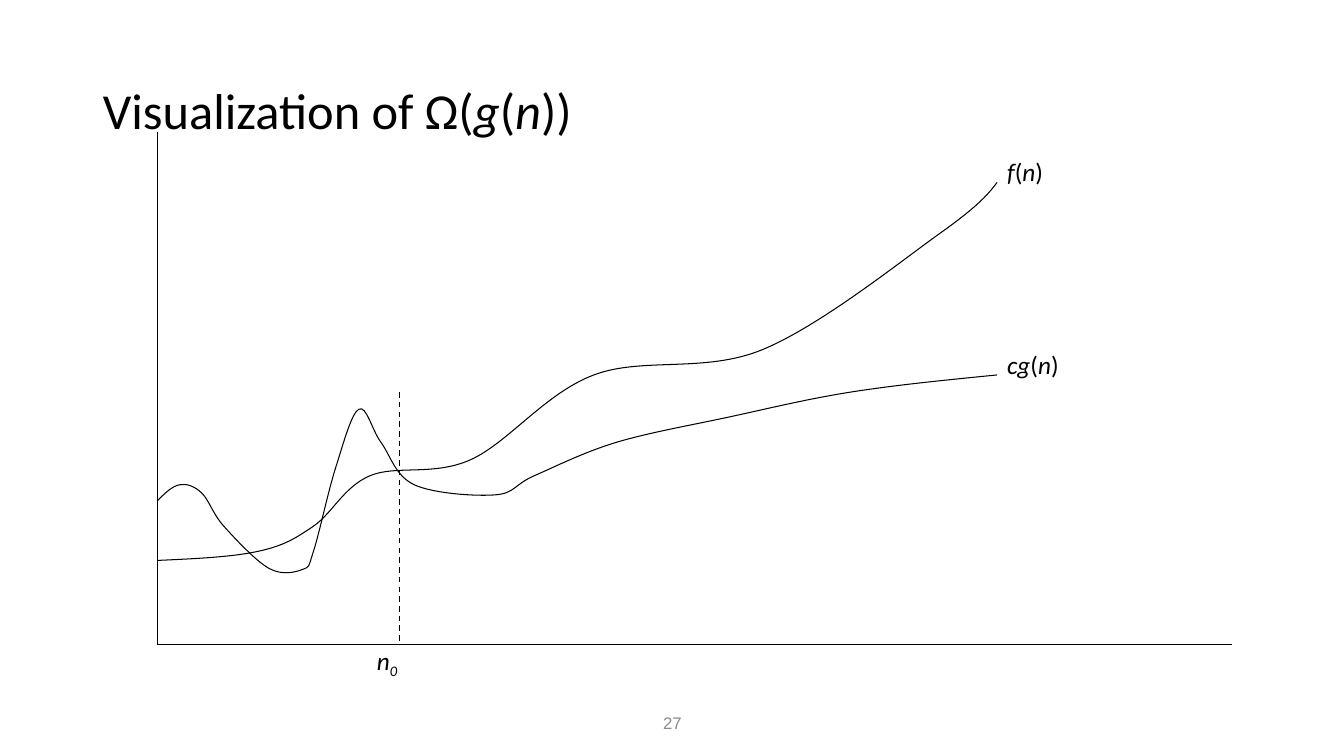
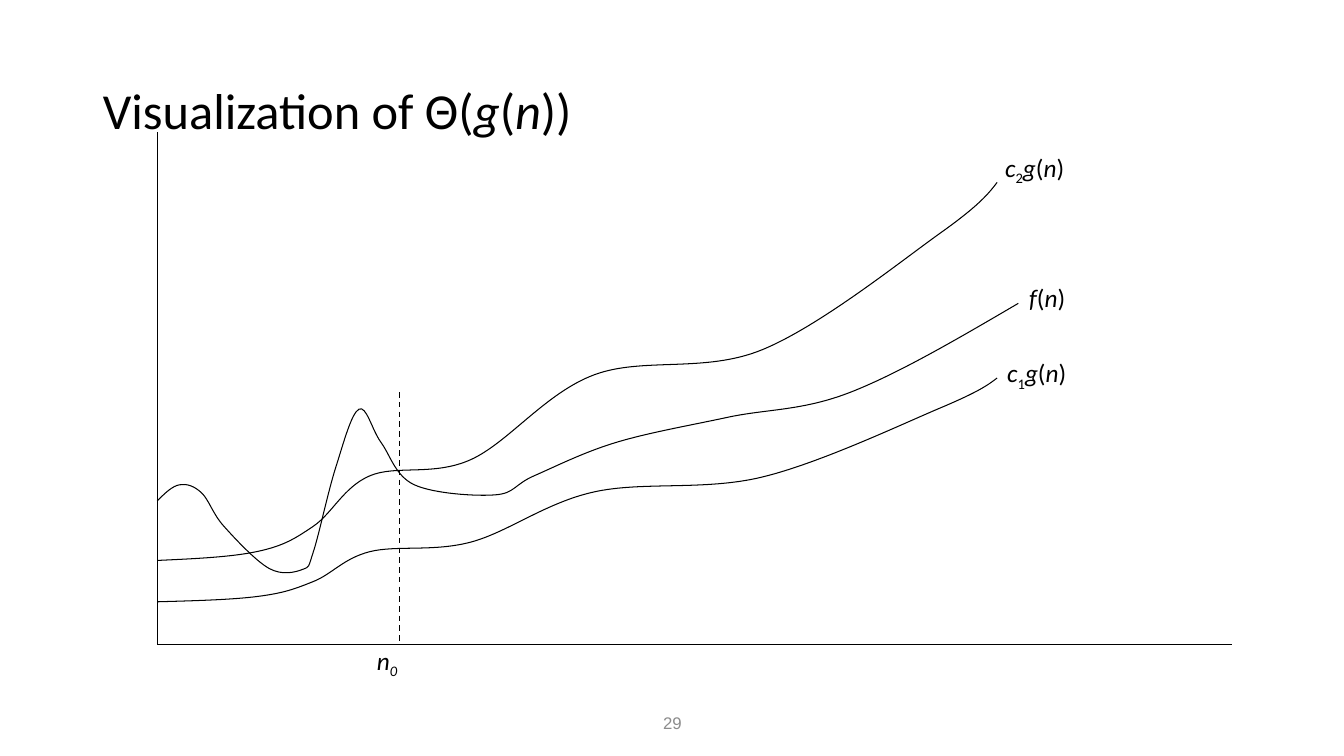
from lxml.etree import SubElement
from pptx import Presentation
from pptx.dml.color import RGBColor
from pptx.enum.dml import MSO_LINE
from pptx.enum.shapes import MSO_CONNECTOR
from pptx.enum.text import MSO_ANCHOR, MSO_AUTO_SIZE, PP_ALIGN
from pptx.oxml.ns import qn
from pptx.util import Pt

PX = 9144  # EMU per px, 100 px to the inch
BLACK = RGBColor(0x00, 0x00, 0x00)
GRAY = RGBColor(0x8C, 0x8C, 0x8C)

PLAIN, ITALIC, SUB, ITALIC_SUB = "plain", "italic", "sub", "italic sub"
OF_N = [("(", PLAIN), ("n", ITALIC), (")", PLAIN)]
F_OF_N = [("f", ITALIC)] + OF_N
CG_OF_N = [("cg", ITALIC)] + OF_N
C1G_OF_N = [("c", ITALIC), ("1", SUB), ("g", ITALIC)] + OF_N
C2G_OF_N = [("c", ITALIC), ("2", SUB), ("g", ITALIC)] + OF_N
N_ZERO = [("n", ITALIC), ("0", ITALIC_SUB)]

ORIGIN_X, AXIS_TOP, AXIS_Y, AXIS_RIGHT = 156, 131, 639, 1222
THRESHOLD_X, THRESHOLD_TOP = 396, 389

RISING = [(156, 556), (256, 547), (311, 522), (367, 472), (467, 456),
          (589, 372), (756, 347), (933, 231), (989, 181)]
LOWER = [(x, 597 - 0.592 * (556 - y)) for x, y in RISING]
WAVY = [(156, 497), (178, 481), (200, 489), (222, 522), (267, 564),
        (300, 565), (311, 547), (333, 464), (356, 406), (378, 439),
        (411, 481), (491, 491), (530, 472), (611, 439), (722, 414),
        (844, 389)]


def midpoint(first, second):
    return tuple((a + b) / 2 for a, b in zip(first, second))


def spline(points):
    """Return (control, control, end) for each cubic of a Catmull-Rom curve."""
    last = len(points) - 1

    def handle(index, sign):
        before, here, after = points[index - 1:index + 2]
        return tuple(h + sign * (a - b) / 6
                     for b, h, a in zip(before, here, after))

    segments = []
    for index in range(last):
        start, end = points[index], points[index + 1]
        leaving = handle(index, 1) if index > 0 else None
        arriving = handle(index + 1, -1) if index + 1 < last else None
        leaving = leaving or midpoint(start, arriving)
        arriving = arriving or midpoint(leaving, end)
        segments.append((leaving, arriving, end))
    return segments


class Plotter:
    """Holds the deck, its style and the slide being drawn."""

    def __init__(self):
        self.deck = Presentation()
        self.deck.slide_width = 1333 * PX
        self.deck.slide_height = 750 * PX
        self.page = None

    def start(self, title, number):
        self.page = self.deck.slides.add_slide(self.deck.slide_layouts[5])
        self.title(title)
        self.page_number(number)

    def add_spans(self, para, runs, size, font="Calibri", color=BLACK):
        for text, style in runs:
            span = para.add_run()
            span.text = text
            span.font.name = font
            span.font.size = Pt(size)
            span.font.color.rgb = color
            span.font.italic = ITALIC in style
            if SUB in style:
                span.font._element.set("baseline", "-25000")

    def title(self, runs):
        box = self.page.shapes.title
        box.left, box.top = 92 * PX, 40 * PX
        box.width, box.height = 1150 * PX, 145 * PX
        frame = box.text_frame
        frame.vertical_anchor = MSO_ANCHOR.MIDDLE
        frame.auto_size = MSO_AUTO_SIZE.NONE
        para = frame.paragraphs[0]
        para.alignment = PP_ALIGN.LEFT
        para.line_spacing = 0.9
        self.add_spans(para, runs, 36)

    def textbox(self, left, top, width, height):
        box = self.page.shapes.add_textbox(
            left * PX, top * PX, width * PX, height * PX)
        return box.text_frame

    def page_number(self, number):
        frame = self.textbox(456, 700, 422, 35)
        frame.word_wrap = True
        frame.vertical_anchor = MSO_ANCHOR.MIDDLE
        para = frame.paragraphs[0]
        para.alignment = PP_ALIGN.CENTER
        self.add_spans(para, [(str(number), PLAIN)], 12, "Arial", GRAY)

    def label(self, left, top, width, runs):
        frame = self.textbox(left, top, width, 40)
        frame.word_wrap = False
        frame.auto_size = MSO_AUTO_SIZE.SHAPE_TO_FIT_TEXT
        self.add_spans(frame.paragraphs[0], runs, 18)

    def line(self, x1, y1, x2, y2, weight=0.75, dash=None):
        line = self.page.shapes.add_connector(
            MSO_CONNECTOR.STRAIGHT, x1 * PX, y1 * PX, x2 * PX, y2 * PX)
        line.line.color.rgb = BLACK
        line.line.width = Pt(weight)
        if dash:
            line.line.dash_style = dash
        SubElement(line._element.spPr, qn("a:effectLst"))

    def curve(self, points):
        """Draw an open smooth outline through the points."""
        points = [(round(x * PX), round(y * PX)) for x, y in points]
        builder = self.page.shapes.build_freeform(*points[0])
        builder.add_line_segments(points[1:], close=False)
        shape = builder.convert_to_shape()
        shape.shadow.inherit = False
        shape.fill.background()
        shape.line.color.rgb = BLACK
        shape.line.width = Pt(0.75)
        straights = list(shape._element.iter(qn("a:lnTo")))
        for straight, segment in zip(straights, spline(points)):
            straight.tag = qn("a:cubicBezTo")
            straight.remove(straight[0])
            for x, y in segment:
                SubElement(straight, qn("a:pt"),
                           x=str(round(x - shape.left)),
                           y=str(round(y - shape.top)))

    def growth_plot(self, symbol, number, curves, labels):
        """Draw one slide: title, axes, curves, threshold and labels."""
        self.start([(f"Visualization of {symbol}(", PLAIN), ("g", ITALIC),
                    ("(", PLAIN), ("n", ITALIC), ("))", PLAIN)], number)
        self.line(ORIGIN_X, AXIS_TOP, ORIGIN_X, AXIS_Y)
        self.line(ORIGIN_X, AXIS_Y, AXIS_RIGHT, AXIS_Y)
        for points in curves:
            self.curve(points)
        self.line(THRESHOLD_X, THRESHOLD_TOP, THRESHOLD_X, AXIS_Y,
                  1, MSO_LINE.DASH)
        self.label(364, 635, 42, N_ZERO)
        for label in labels:
            self.label(*label)


def main():
    plotter = Plotter()
    plotter.growth_plot(
        "Ω", 27, [RISING, WAVY + [(989, 372)]],
        [(989, 342, 72, CG_OF_N), (989, 150, 56, F_OF_N)])
    plotter.growth_plot(
        "Θ", 29, [RISING, WAVY + [(1010, 301)], LOWER],
        [(987, 146, 81, C2G_OF_N), (1011, 275, 56, F_OF_N),
         (989, 350, 81, C1G_OF_N)])
    plotter.deck.save("out.pptx")


if __name__ == "__main__":
    main()
